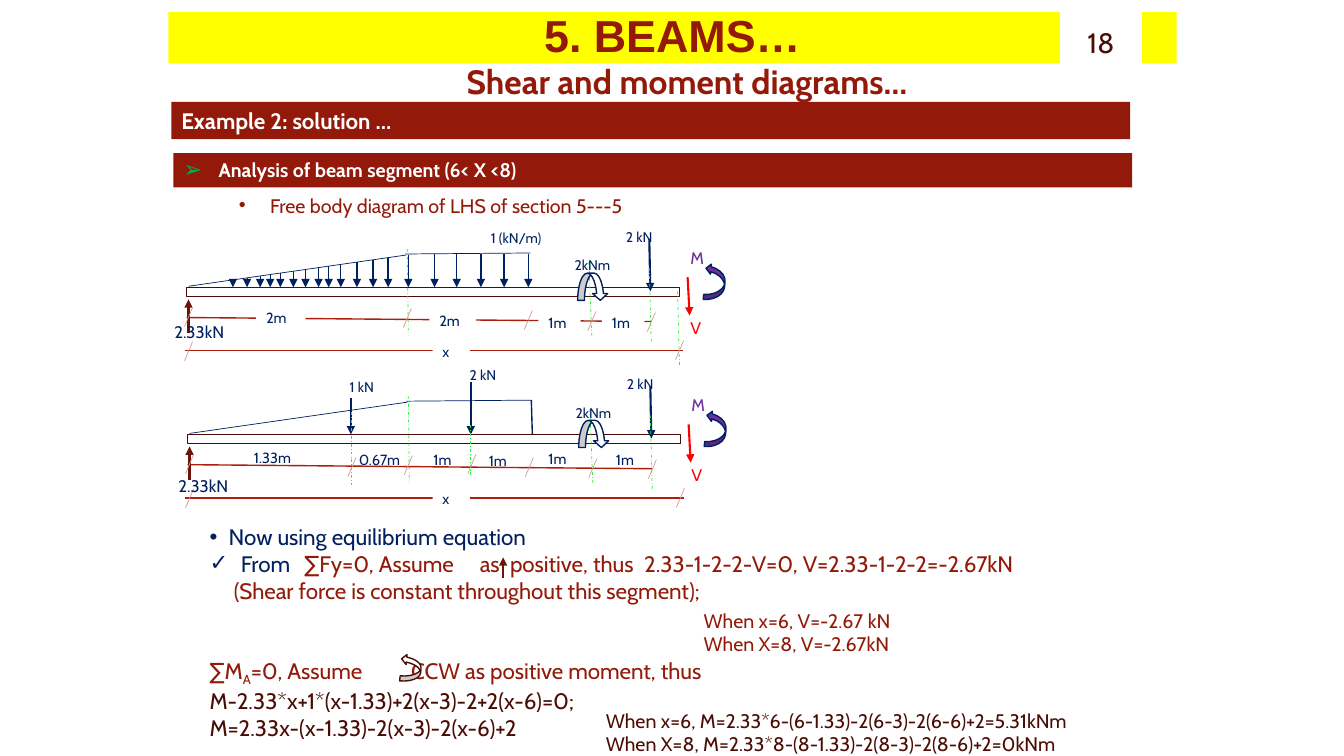
from dataclasses import dataclass

from lxml import etree
from pptx import Presentation
from pptx.dml.color import RGBColor
from pptx.enum.dml import MSO_LINE
from pptx.enum.shapes import MSO_CONNECTOR, MSO_SHAPE
from pptx.enum.text import MSO_ANCHOR, MSO_AUTO_SIZE, PP_ALIGN
from pptx.oxml.ns import qn
from pptx.util import Cm, Pt


@dataclass(frozen=True)
class Theme:
    yellow: str = "FFFF00"
    white: str = "FFFFFF"
    maroon: str = "931909"
    banner: str = "93190A"
    dark: str = "4A0C04"
    navy: str = "002060"
    reaction: str = "6E1307"
    dimension: str = "AC1E0C"
    tick: str = "D89997"
    guide: str = "2BED3D"
    shear: str = "FF0000"
    moment: str = "7030A0"
    bullet: str = "00B050"
    heading_font: str = "Arial"
    font: str = "Cabin"
    title: float = 32
    subtitle: float = 24
    number: float = 20
    body: float = 16
    detail: float = 14
    force: float = 12
    span: float = 10.5
    load: float = 10


theme = Theme()
INCH = 2.54


def write(*runs, at=None, into=None, color=theme.navy, size=theme.body, font=theme.font,
          bold=False, fill=None, border=None, centred=False, indent=0, hang=0, bullet=None,
          bullet_color=None, tabs=(), before=None, spacing=None):
    if into is None:
        box = slide.shapes.add_textbox(*(Cm(length * INCH) for length in at))
        if fill:
            box.fill.solid()
            box.fill.fore_color.rgb = RGBColor.from_string(fill)
        if border:
            box.line.color.rgb = RGBColor.from_string(border)
            box.line.width = Pt(0.75)
        into = box.text_frame
        into.word_wrap = True
        into.auto_size = MSO_AUTO_SIZE.NONE if centred else MSO_AUTO_SIZE.SHAPE_TO_FIT_TEXT
        into.vertical_anchor = MSO_ANCHOR.MIDDLE if centred else MSO_ANCHOR.TOP
        paragraph = into.paragraphs[0]
    else:
        paragraph = into.add_paragraph()
    properties = paragraph._p.get_or_add_pPr()
    properties.set("marL", str(Cm(indent * INCH)))
    properties.set("indent", str(Cm(-hang * INCH)))
    if bullet_color:
        tint = etree.SubElement(properties, qn("a:buClr"))
        etree.SubElement(tint, qn("a:srgbClr"), val=bullet_color)
        etree.SubElement(properties, qn("a:buSzPct"), val="115000")
    if bullet:
        etree.SubElement(properties, qn("a:buFont"), typeface=theme.heading_font)
        etree.SubElement(properties, qn("a:buChar"), char=bullet)
    if tabs:
        stops = etree.SubElement(properties, qn("a:tabLst"))
        for stop in tabs:
            etree.SubElement(stops, qn("a:tab"), pos=str(Cm(stop * INCH)), algn="l")
    paragraph.alignment = PP_ALIGN.CENTER if centred else PP_ALIGN.LEFT
    if before:
        paragraph.space_before = Pt(before)
    if spacing:
        paragraph.line_spacing = spacing
    for text, run_color, baseline in runs if isinstance(runs[0], tuple) else [(runs[0], color, 0)]:
        run = paragraph.add_run()
        run.text = text
        run.font.name = font
        run.font.size = Pt(size)
        run.font.bold = bold
        run.font.color.rgb = RGBColor.from_string(run_color)
        if baseline:
            run._r.get_or_add_rPr().set("baseline", str(baseline))
    return into


def draw_line(x1, y1, x2, y2, color, width=1, arrow=False, dashed=False):
    line = slide.shapes.add_connector(
        MSO_CONNECTOR.STRAIGHT, *(Cm(length * INCH) for length in (x1, y1, x2, y2)))
    line.line.color.rgb = RGBColor.from_string(color)
    line.line.width = Pt(width)
    if dashed:
        line.line.dash_style = MSO_LINE.DASH_DOT
    if arrow:
        etree.SubElement(line.line._get_or_add_ln(), qn("a:tailEnd"), type="triangle")
    etree.SubElement(line._element.spPr, qn("a:effectLst"))


prs = Presentation()
prs.slide_width, prs.slide_height = Cm(13.33 * INCH), Cm(7.5 * INCH)
slide = prs.slides.add_slide(prs.slide_layouts[6])

write("5. BEAMS…", at=(1.67, 0.12, 10, 0.51), fill=theme.yellow, color=theme.maroon,
      size=theme.title, font=theme.heading_font, bold=True, centred=True, spacing=0.9)
write("Shear and moment diagrams…", at=(4.53, 0.56, 5.28, 0.5), color=theme.maroon,
      size=theme.subtitle, bold=True)
write("Example 2: solution …", at=(1.7, 1.01, 9.51, 0.37), fill=theme.banner,
      color=theme.white, bold=True)
write("18", at=(10.52, 0.12, 0.8, 0.6), fill=theme.white, border=theme.white,
      color=theme.dark, size=theme.number, centred=True)
write("Analysis of beam segment (6< X <8)", at=(1.72, 1.52, 9.51, 0.34), fill=theme.banner,
      color=theme.white, size=theme.detail, bold=True, indent=0.35, hang=0.35, bullet="➢",
      bullet_color=theme.bullet)
write("Free body diagram of LHS of section 5---5", at=(2.27, 1.87, 4.8, 0.34),
      color=theme.maroon, size=theme.detail, indent=0.31, hang=0.31, bullet="•")

distributed_spans = [("2m", 2.54, 3.01, 0.49), ("2m", 4.26, 3.04, 0.46),
                     ("1m", 5.34, 3.06, 0.42), ("1m", 5.97, 3.06, 0.42)]
resultant_spans = [("1.33m", 2.42, 4.4, 0.68), ("0.67m", 3.46, 4.42, 0.68),
                   ("1m", 4.2, 4.42, 0.46), ("1m", 4.75, 4.43, 0.46),
                   ("1m", 5.34, 4.41, 0.42), ("1m", 6.01, 4.42, 0.42)]
curved_arrows = [(3.94, 6.53, 0.27, 0.2, theme.white, theme.dark, True)]

for dx, dy, reaction_at, spans, span_fill in (
        (0, 0, (1.63, 3.14), distributed_spans, theme.white),
        (0.01, 1.46, (1.67, 4.67), resultant_spans, None)):
    beam = slide.shapes.add_shape(
        MSO_SHAPE.RECTANGLE,
        *(Cm(length * INCH) for length in (1.85 + dx, 2.85 + dy, 4.89, 0.09)))
    beam.shadow.inherit = False
    beam.fill.solid()
    beam.fill.fore_color.rgb = RGBColor.from_string(theme.white)
    beam.line.color.rgb = RGBColor.from_string(theme.dark)
    beam.line.width = Pt(1)

    for x1, y1, x2, y2, color, width, arrow in (
            (1.83, 3.48, 6.77, 3.48, theme.dimension, 1, False),
            (1.85, 3.15, 6.46, 3.19, theme.dimension, 1, False),
            (1.87, 2.84, 4.03, 2.53, theme.navy, 0.5, False),
            (4.02, 2.52, 5.26, 2.51, theme.navy, 0.5, False),
            (1.87, 3.3, 1.87, 2.97, theme.reaction, 1.5, True),
            (6.82, 2.75, 6.84, 3.13, theme.shear, 1.5, True),
            (6.44, 2.37, 6.45, 2.89, theme.navy, 1.5, True)):
        draw_line(x1 + dx, y1 + dy, x2 + dx, y2 + dy, color, width, arrow)

    write("x", at=(4.29, 3.35 + dy, 0.37, 0.28), fill=theme.white, size=theme.span)
    for text, left, top, width in spans:
        write(text, at=(left, top, width, 0.28), fill=span_fill, size=theme.span)
    for x, y in ((1.91, 3.39), (6.78, 3.38), (1.91, 3.05), (4.08, 3.06),
                 (5.28, 3.08), (5.91, 3.09), (6.5, 3.1)):
        draw_line(x + dx, y + dy, x + dx - 0.08, y + dy + 0.19, theme.tick, 0.5)
    for x1, y1, x2, y2 in ((4.04, 2.47, 4.05, 3.33), (5.84, 2.6, 5.87, 3.34),
                           (6.44, 2.66, 6.46, 3.41)):
        draw_line(x1 + dx, y1 + dy, x2 + dx, y2 + dy, theme.guide, 0.5, dashed=True)
    for text, left, top, width, height, size, color in (
            ("V", 6.75, 3.1, 0.28, 0.3, theme.force, theme.shear),
            ("M", 6.75, 2.41, 0.28, 0.3, theme.force, theme.moment),
            ("2kNm", 5.6, 2.5, 0.62, 0.27, theme.load, theme.navy),
            ("2 kN", 6.11, 2.22, 0.52, 0.27, theme.load, theme.navy)):
        write(text, at=(left + dx, top + dy, width, height), size=size, color=color)
    write("2.33kN", at=(*reaction_at, 0.79, 0.3), size=theme.force)
    curved_arrows += [(6.91 + dx, 2.7 + dy, 0.36, 0.2, theme.moment, theme.navy, True),
                      (5.73 + dx, 2.71 + dy, 0.3, 0.27, theme.white, theme.navy, False)]

for x in (2.31, 2.45, 2.58, 2.68, 2.78, 2.91, 3.03, 3.16, 3.26, 3.38, 3.54, 3.7,
          3.85, 4.05, 4.31, 4.53, 4.77, 5, 5.24):
    slope_top = 2.84 - (x - 1.87) * 0.31 / 2.16
    draw_line(x, max(2.52, slope_top), x, 2.85, theme.navy, 0.75 if x < 2.6 else 1, True)
draw_line(6.72, 2.89, 6.74, 3.64, theme.guide, 0.5, dashed=True)
write("1 (kN/m)", at=(4.77, 2.23, 0.88, 0.27), size=theme.load)

draw_line(5.27, 3.97, 5.28, 4.31, theme.navy)
for text, left, top, x, arrow_top, guide_top, guide_end, tick_top in (
        ("1 kN", 3.37, 3.71, 3.48, 3.95, 4.09, 4.81, 4.54),
        ("2 kN", 4.56, 3.59, 4.67, 3.79, 4.22, 4.71, 4.51)):
    write(text, at=(left, top, 0.59, 0.27), size=theme.load)
    draw_line(x, arrow_top, x, 4.31, theme.navy, 1.5, True)
    draw_line(x, guide_top, x, guide_end, theme.guide, 0.5, dashed=True)
    draw_line(x + 0.05, tick_top, x - 0.03, tick_top + 0.19, theme.tick, 0.5)

equilibrium = write("Now using equilibrium equation", at=(1.98, 5.14, 9.69, 2.26),
                    indent=0.19, hang=0.19, bullet="•")
write(("From\t", theme.navy, 0),
      ("∑Fy=0, Assume\tas\tpositive, thus\t2.33-1-2-2-V=0, V=2.33-1-2-2=-2.67kN",
       theme.maroon, 0),
      into=equilibrium, indent=0.31, hang=0.31, bullet="✓", tabs=(0.94, 2.68, 2.98, 4.31))
write("(Shear force is constant throughout this segment);", into=equilibrium,
      color=theme.maroon, indent=0.24)
write(("∑M", theme.maroon, 0), ("A", theme.maroon, -25000),
      ("=0, Assume\tCCW as positive moment, thus", theme.maroon, 0),
      into=equilibrium, before=38, tabs=(1.91,))
for equation in ("M-2.33*x+1*(x-1.33)+2(x-3)-2+2(x-6)=0;", "M=2.33x-(x-1.33)-2(x-3)-2(x-6)+2"):
    write(equation, into=equilibrium, color=theme.dark)
draw_line(4.99, 5.73, 4.99, 5.53, theme.reaction, 1.5, True)

for first, second, at, color in (
        ("When x=6, V=-2.67 kN", "When X=8, V=-2.67kN", (6.88, 5.99, 3.94, 0.57), theme.maroon),
        ("When x=6, M=2.33*6-(6-1.33)-2(6-3)-2(6-6)+2=5.31kNm",
         "When X=8, M=2.33*8-(8-1.33)-2(8-3)-2(8-6)+2=0kNm", (5.91, 6.98, 5.75, 0.57), theme.dark)):
    results = write(first, at=at, color=color, size=theme.detail)
    write(second, into=results, color=color, size=theme.detail)

for left, top, width, height, fill, outline, turned in curved_arrows:
    couple = slide.shapes.add_shape(
        MSO_SHAPE.CURVED_DOWN_ARROW, *(Cm(length * INCH) for length in (left, top, width, height)))
    couple.shadow.inherit = False
    couple.fill.solid()
    couple.fill.fore_color.rgb = RGBColor.from_string(fill)
    couple.line.color.rgb = RGBColor.from_string(outline)
    couple.line.width = Pt(1)
    if turned:
        couple.rotation = 275.1
        couple._element.spPr.xfrm.set("flipV", "1")
    else:
        couple.adjustments[1] = 0.607

prs.save("out.pptx")
